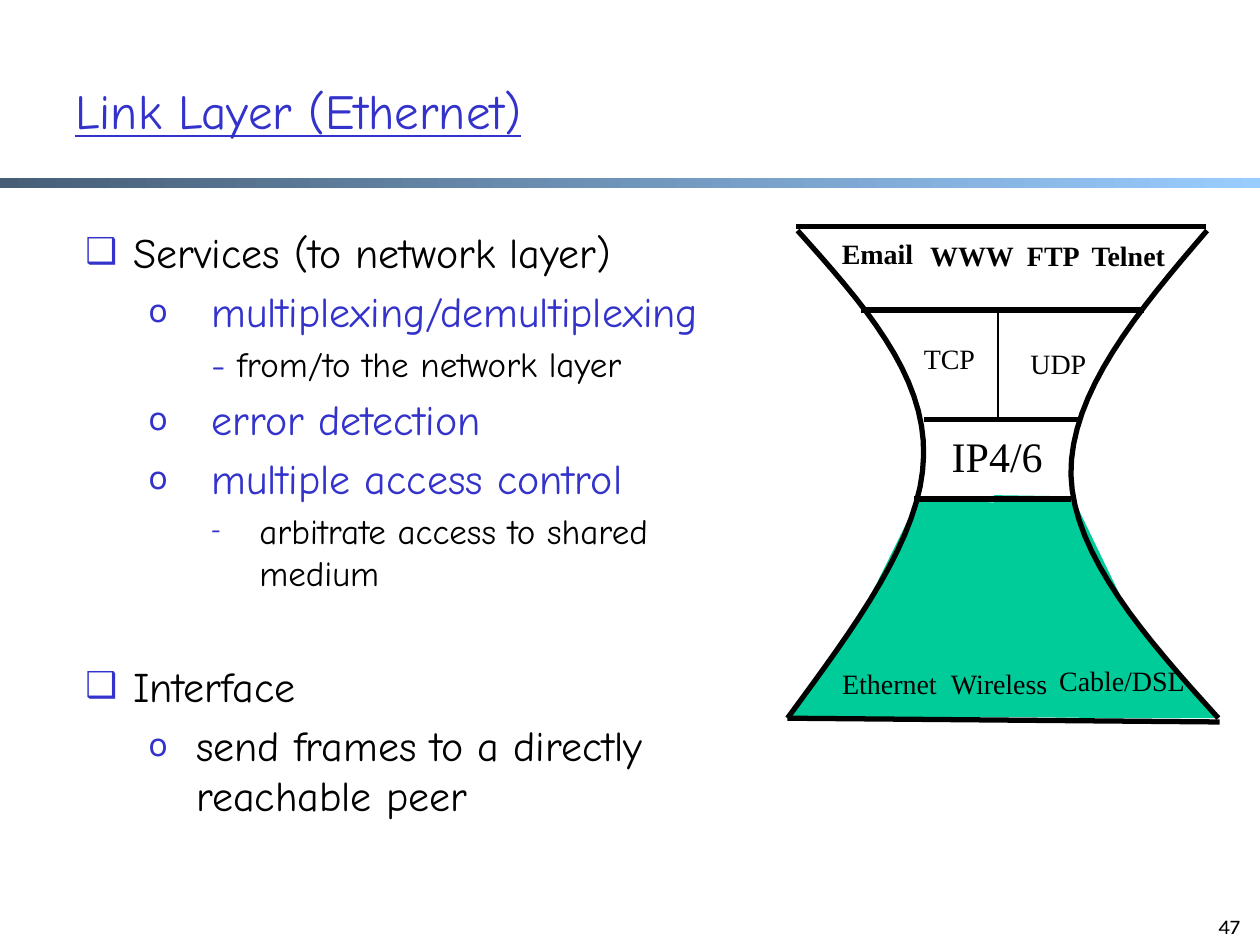
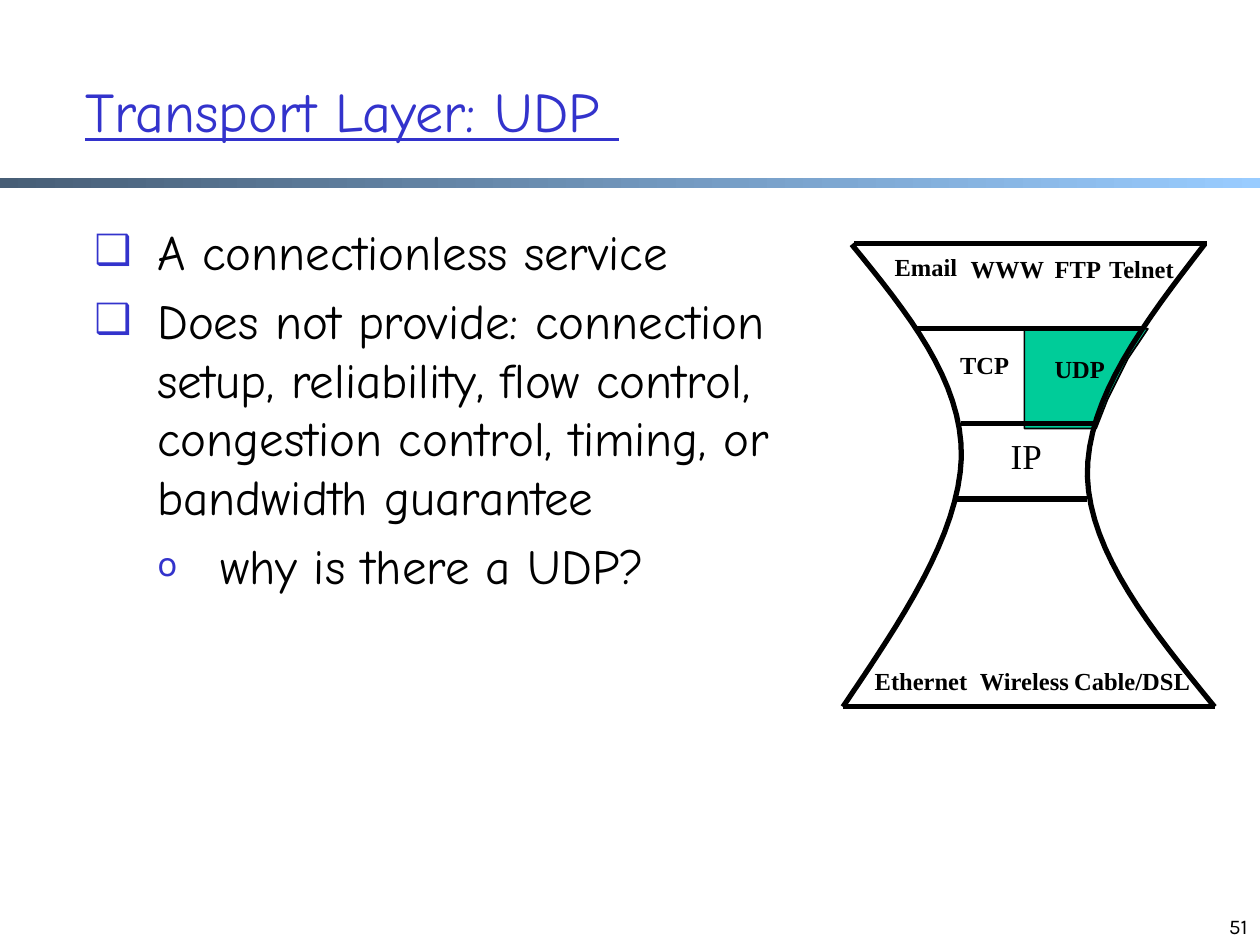
from lxml import etree
from pptx import Presentation
from pptx.dml.color import RGBColor
from pptx.enum.shapes import MSO_CONNECTOR as CONN, MSO_SHAPE as SHAPE
from pptx.enum.text import MSO_ANCHOR as ANCHOR, PP_ALIGN as ALIGN
from pptx.oxml.ns import qn
from pptx.util import Inches, Pt

COLORS = {
    "ink": "000000",
    "accent": "3333CC",
    "layer": "00CC99",
    "band_start": "475E76",
    "band_end": "99CCFF",
}
BODY_FONT, NUMBER_FONT, LABEL_FONT = "Comic Neue", "Karla", "Times New Roman"
WALL_WIDTH, THIN_WIDTH = 3, 1
CURVE_STEPS = 16


def rgb(name):
    return RGBColor.from_string(COLORS[name])


def style_run(r, size, font, color="ink", bold=False, underline=False):
    f = r.font
    f.size, f.name, f.bold, f.underline = Pt(size), font, bold, underline
    f.color.rgb = rgb(color)


def add_text(slide, box, text, size, font, anchor=ANCHOR.TOP, align=ALIGN.LEFT,
             wrap=True, **look):
    tf = slide.shapes.add_textbox(*map(Inches, box)).text_frame
    tf.word_wrap, tf.vertical_anchor = wrap, anchor
    tf.text = text
    p = tf.paragraphs[0]
    p.alignment = align
    style_run(p.runs[0], size, font, **look)


def add_band(slide, box):
    s = slide.shapes.add_shape(SHAPE.RECTANGLE, *map(Inches, box))
    s.shadow.inherit = False
    s.line.fill.background()
    s.fill.gradient()
    s.fill.gradient_angle = 0
    for stop, name, pos in zip(s.fill.gradient_stops, ("band_start", "band_end"), (0, 1)):
        stop.color.rgb, stop.position = rgb(name), pos


def add_frame(slide, title, title_box, title_size, number, number_left):
    add_band(slide, (0, 1.41, 10, 0.08))
    add_text(slide, (number_left, 7, 2.33, 0.5), number, 12, NUMBER_FONT,
             ANCHOR.BOTTOM, ALIGN.RIGHT)
    add_text(slide, title_box, title, title_size, BODY_FONT, ANCHOR.MIDDLE,
             color="accent", underline=True)


def set_bullet(p, char, percent, margin, indent):
    pPr = p._p.get_or_add_pPr()
    pPr.set("marL", str(Inches(margin)))
    pPr.set("indent", str(Inches(indent)))
    if not char:
        etree.SubElement(pPr, qn("a:buNone"))
        return
    color = etree.SubElement(pPr, qn("a:buClr"))
    etree.SubElement(color, qn("a:srgbClr"), val=COLORS["accent"])
    etree.SubElement(pPr, qn("a:buSzPct"), val=str(percent * 1000))
    etree.SubElement(pPr, qn("a:buFont"), typeface=NUMBER_FONT)
    etree.SubElement(pPr, qn("a:buChar"), char=char)


def add_body(slide, box, items):
    tf = slide.shapes.add_textbox(*map(Inches, box)).text_frame
    tf.word_wrap = True
    for i, (level, char, percent, margin, indent, size, gap, runs) in enumerate(items):
        p = tf.add_paragraph() if i else tf.paragraphs[0]
        p.level = level
        p.space_before = Pt(0.2 * size + gap)
        set_bullet(p, char, percent, margin, indent)
        for text, color in runs:
            r = p.add_run()
            r.text = text
            style_run(r, size, BODY_FONT, color)


def add_outline(slide, origin, points, closed, fill=None, width=None):
    (x, y), *rest = [(Inches(origin[0] + a), Inches(origin[1] + b)) for a, b in points]
    fb = slide.shapes.build_freeform(x, y)
    fb.add_line_segments(rest, close=closed)
    s = fb.convert_to_shape()
    s.shadow.inherit = False
    if fill:
        s.fill.solid()
        s.fill.fore_color.rgb = rgb(fill)
    else:
        s.fill.background()
    if width:
        s.line.color.rgb, s.line.width = rgb("ink"), Pt(width)
    else:
        s.line.fill.background()


def curve_points(controls):
    points = [controls[0]]
    for k in range(0, len(controls) - 1, 3):
        for step in range(1, CURVE_STEPS + 1):
            t = step / CURVE_STEPS
            weights = ((1 - t) ** 3, 3 * t * (1 - t) ** 2, 3 * t * t * (1 - t), t ** 3)
            points.append(tuple(sum(w * c[axis] for w, c in zip(weights, controls[k:k + 4]))
                                for axis in (0, 1)))
    return points


def add_line(slide, origin, ends, width):
    x, y = origin
    x1, y1, x2, y2 = ends
    c = slide.shapes.add_connector(CONN.STRAIGHT, Inches(x + x1), Inches(y + y1),
                                   Inches(x + x2), Inches(y + y2))
    c.line.color.rgb, c.line.width = rgb("ink"), Pt(width)
    etree.SubElement(c._element.spPr, qn("a:effectLst"))


def add_hourglass(slide, origin, glass):
    for points in glass["fills"]:
        add_outline(slide, origin, points, True, "layer", glass["fill_line"])
    for controls in glass["walls"]:
        add_outline(slide, origin, curve_points(controls), False, width=WALL_WIDTH)
    for ends in glass["levels"]:
        add_line(slide, origin, ends, WALL_WIDTH)
    add_line(slide, origin, glass["divider"], THIN_WIDTH)
    for size, bold, height, labels in glass["labels"]:
        for text, left, top, width in labels:
            add_text(slide, (origin[0] + left, origin[1] + top, width, height), text, size,
                     LABEL_FONT, align=ALIGN.CENTER, wrap=False, bold=bold)


LINK_BODY = [
    (0, "❑", 85, 0.38, -0.38, 24, 0, [("Services (to network layer)", "ink")]),
    (1, "o", 85, 1, -0.5, 24, 0, [("multiplexing/demultiplexing", "accent")]),
    (2, None, 0, 1, 0, 20, 0, [("- ", "accent"), ("from/to the network layer", "ink")]),
    (1, "o", 85, 1, -0.5, 24, 0, [("error detection", "accent")]),
    (1, "o", 85, 1, -0.5, 24, 0, [("multiple access control", "accent")]),
    (2, "-", 75, 1.38, -0.38, 20, 0, [("arbitrate access to shared medium", "ink")]),
    (0, "❑", 85, 0.38, -0.38, 24, 33.4, [("Interface", "ink")]),
    (1, "o", 85, 0.88, -0.38, 24, 0, [("send frames to a directly reachable peer", "ink")]),
]
UDP_BODY = [
    (0, "❑", 85, 0.5, -0.5, 28, 0, [("A connectionless service", "ink")]),
    (0, "❑", 85, 0.5, -0.5, 28, 0,
     [("Does not provide: connection setup, reliability, flow control, "
       "congestion control, timing, or bandwidth guarantee", "ink")]),
    (1, "o", 75, 1, -0.5, 28, 0, [("why is there a UDP?", "ink")]),
]

LINK_GLASS = {
    "fills": [
        [(1.64, 2.13), (1.65, 3.05), (1.64, 3.89), (2.62, 3.9), (3.39, 3.9),
         (2.7, 3.05), (2.26, 2.14)],
        [(1.04, 2.16), (0.62, 3.01), (0, 3.9), (1.65, 3.89), (1.65, 3.86),
         (1.67, 3.09), (1.67, 2.19)],
    ],
    "fill_line": None,
    "walls": [
        [(0.08, 0.03), (0.59, 0.6), (1.1, 1.17), (1.08, 1.82), (1.07, 2.46),
         (0.53, 3.18), (0, 3.9)],
        [(3.33, 0.03), (2.78, 0.67), (2.24, 1.32), (2.25, 1.97), (2.27, 2.61),
         (2.84, 3.26), (3.42, 3.9)],
    ],
    "levels": [(0.07, 0, 3.32, 0), (0.58, 0.66, 2.83, 0.66), (1.08, 1.53, 2.33, 1.53),
               (1, 2.16, 2.25, 2.16), (0, 3.9, 3.43, 3.93)],
    "divider": (1.67, 0.66, 1.67, 1.53),
    "labels": [
        (16, True, 0.35, [("Email", 0.33, 0.03, 0.77), ("WWW", 1.03, 0.04, 0.87),
                          ("FTP", 1.8, 0.04, 0.62), ("Telnet", 2.3, 0.04, 0.81)]),
        (16, False, 0.35, [("TCP", 0.98, 0.86, 0.61), ("UDP", 1.83, 0.9, 0.64),
                           ("Ethernet", 0.33, 3.44, 0.96), ("Wireless", 1.19, 3.44, 0.98),
                           ("Cable/DSL", 2.05, 3.42, 1.21)]),
        (24, False, 0.5, [("IP4/6", 1.2, 1.57, 0.93)]),
    ],
}
UDP_GLASS = {
    "fills": [[(2.42, 0.68), (1.44, 0.68), (1.44, 1.47), (2.01, 1.47), (2.1, 1.24),
               (2.26, 0.92)]],
    "fill_line": THIN_WIDTH,
    "walls": [
        [(0.07, 0.01), (0.51, 0.55), (0.95, 1.09), (0.94, 1.7), (0.92, 2.32),
         (0.46, 3), (0, 3.68)],
        [(2.87, 0.01), (2.4, 0.62), (1.93, 1.23), (1.94, 1.85), (1.96, 2.46),
         (2.45, 3.07), (2.95, 3.68)],
    ],
    "levels": [(0.09, 0, 2.89, 0), (0.58, 0.68, 2.37, 0.68), (0.94, 1.43, 2.01, 1.43),
               (0.87, 2.03, 1.94, 2.03), (0, 3.68, 2.95, 3.68)],
    "divider": (1.44, 0.68, 1.44, 1.43),
    "labels": [
        (14, True, 0.34, [("Email", 0.31, 0.02, 0.7), ("WWW", 0.91, 0.04, 0.79),
                          ("FTP", 1.58, 0.04, 0.57), ("Telnet", 2.01, 0.04, 0.72),
                          ("TCP", 0.83, 0.8, 0.59), ("UDP", 1.58, 0.83, 0.6),
                          ("Ethernet", 0.15, 3.31, 0.94), ("Wireless", 0.98, 3.31, 0.92),
                          ("Cable/DSL", 1.73, 3.31, 1.13)]),
        (20, False, 0.44, [("IP", 1.23, 1.47, 0.45)]),
    ],
}


def build_link_slide(slide):
    add_frame(slide, "Link Layer (Ethernet)", (0.5, 0.25, 9.08, 1.25), 28, "47", 7.61)
    add_body(slide, (0.58, 1.75, 5.66, 5.08), LINK_BODY)
    add_hourglass(slide, (6.25, 1.8), LINK_GLASS)


def build_udp_slide(slide):
    add_frame(slide, "Transport Layer: UDP ", (0.58, 0.25, 8.5, 1.25), 32, "51", 7.67)
    add_body(slide, (0.65, 1.71, 5.88, 5.08), UDP_BODY)
    add_hourglass(slide, (6.69, 1.93), UDP_GLASS)


def main():
    prs = Presentation()
    prs.slide_width, prs.slide_height = Inches(10), Inches(7.5)
    for build in (build_link_slide, build_udp_slide):
        build(prs.slides.add_slide(prs.slide_layouts[6]))
    prs.save("out.pptx")


if __name__ == "__main__":
    main()
